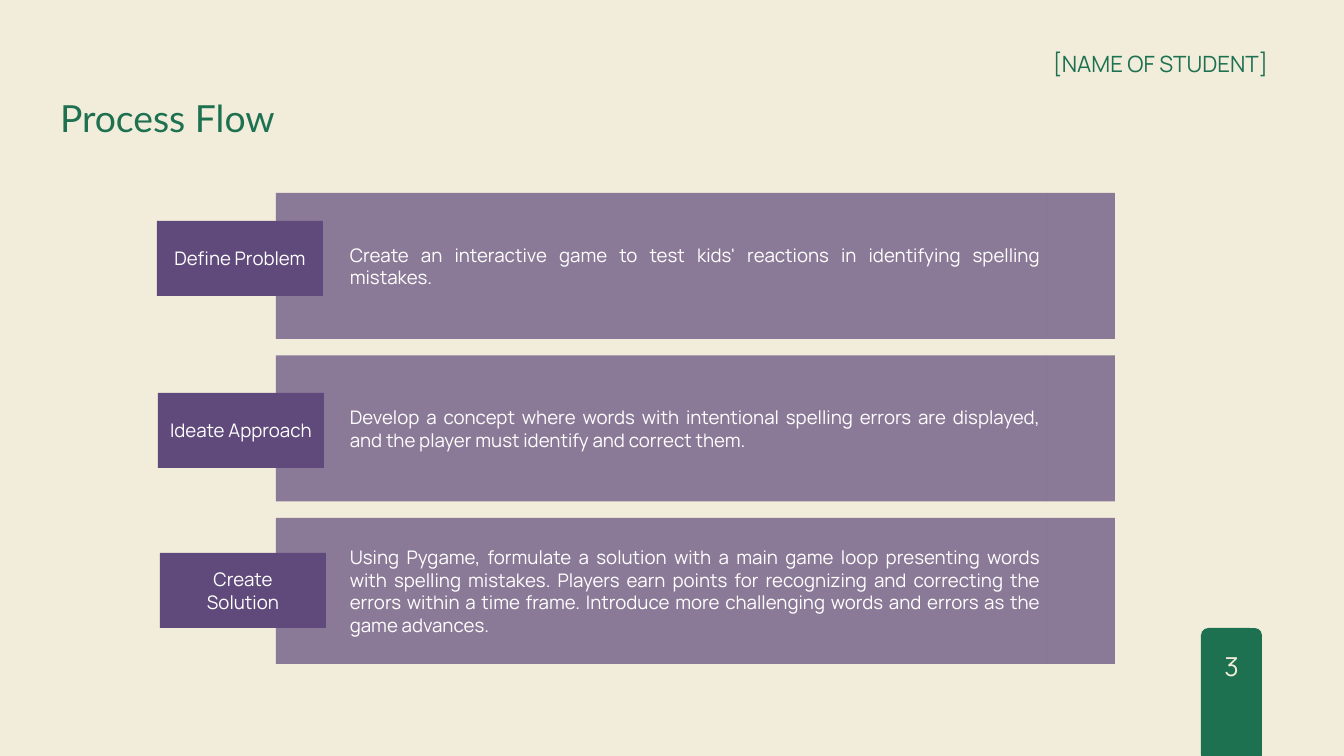
from pptx import Presentation
from pptx.dml.color import RGBColor
from pptx.enum.shapes import MSO_SHAPE
from pptx.enum.text import MSO_ANCHOR, MSO_AUTO_SIZE, PP_ALIGN
from pptx.oxml.ns import qn
from pptx.util import Pt
from lxml.etree import SubElement

COLORS = {"cream": "F2EDDB", "green": "1D7151", "plum": "604A7B", "white": "FFFFFF"}
BODY = "Manrope"

LABELS = [
    ("3", (1218, 645, 27, 36), PP_ALIGN.CENTER, 28, BODY, "cream"),
    ("Process Flow", (60, 88, 511, 51), PP_ALIGN.LEFT, 40, "Lato", "green"),
    ("[NAME OF STUDENT]", (1007, 46, 261, 30), PP_ALIGN.RIGHT, 24, BODY, "green"),
]
STEPS = [
    (["Define Problem"], (157, 221),
     "Create an interactive game to test kids' reactions in identifying spelling mistakes."),
    (["Ideate Approach"], (158, 393),
     "Develop a concept where words with intentional spelling errors are displayed, "
     "and the player must identify and correct them."),
    (["Create", "Solution"], (160, 553),
     "Using Pygame, formulate a solution with a main game loop presenting words with "
     "spelling mistakes. Players earn points for recognizing and correcting the errors "
     "within a time frame. Introduce more challenging words and errors as the game advances."),
]
LEFT, TOP, WIDE, SIDE, HIGH, STEP = 276, 193, 771, 68, 146, 162.5
TAG = (166, 75)


def px(n):
    return round(n * 914400 / 67.2)


def rgb(name):
    return RGBColor.from_string(COLORS[name])


def block(box, color, kind=MSO_SHAPE.RECTANGLE, alpha=None):
    shape = slide.shapes.add_shape(kind, *map(px, box))
    shape.shadow.inherit = False
    shape.line.fill.background()
    shape.fill.solid()
    shape.fill.fore_color.rgb = rgb(color)
    if alpha:
        tint = shape.fill._xPr.find(qn("a:solidFill"))[0]
        SubElement(tint, qn("a:alpha")).set("val", str(alpha * 1000))
    return shape


def write(shape, lines, align, size=20, font=BODY, color="white"):
    frame = shape.text_frame
    frame.word_wrap = True
    frame.text = "\n".join(lines)
    for para in frame.paragraphs:
        para.alignment = align
        para.font.size = Pt(size)
        para.font.name = font
        para.font.color.rgb = rgb(color)
    return frame


deck = Presentation()
deck.slide_width, deck.slide_height = px(1344), px(756)
slide = deck.slides.add_slide(deck.slide_layouts[6])
slide.background.fill.solid()
slide.background.fill.fore_color.rgb = rgb("cream")

badge = block((1201, 628, 61, 134), "green", MSO_SHAPE.ROUNDED_RECTANGLE)
badge.adjustments[0] = 0.12

for text, box, align, size, font, color in LABELS:
    label = slide.shapes.add_textbox(*map(px, box))
    frame = write(label, [text], align, size, font, color)
    frame.margin_left = frame.margin_right = frame.margin_top = frame.margin_bottom = 0
    frame.auto_size = MSO_AUTO_SIZE.SHAPE_TO_FIT_TEXT
    frame.paragraphs[0].line_spacing = Pt(size * 1.4)

for i, (_, _, text) in enumerate(STEPS):
    y = TOP + i * STEP
    panel = block((LEFT, y, WIDE, HIGH), "plum", alpha=70)
    frame = write(panel, [text], PP_ALIGN.JUSTIFY)
    frame.vertical_anchor = MSO_ANCHOR.MIDDLE
    para = frame.paragraphs[0]
    para.level = 2
    para._p.get_or_add_pPr().set("marL", "914400")
    block((LEFT + WIDE, y, SIDE, HIGH), "plum", alpha=70)

for lines, spot, _ in STEPS:
    tag = block(spot + TAG, "plum")
    write(tag, lines, PP_ALIGN.CENTER).vertical_anchor = MSO_ANCHOR.MIDDLE

deck.save("out.pptx")
